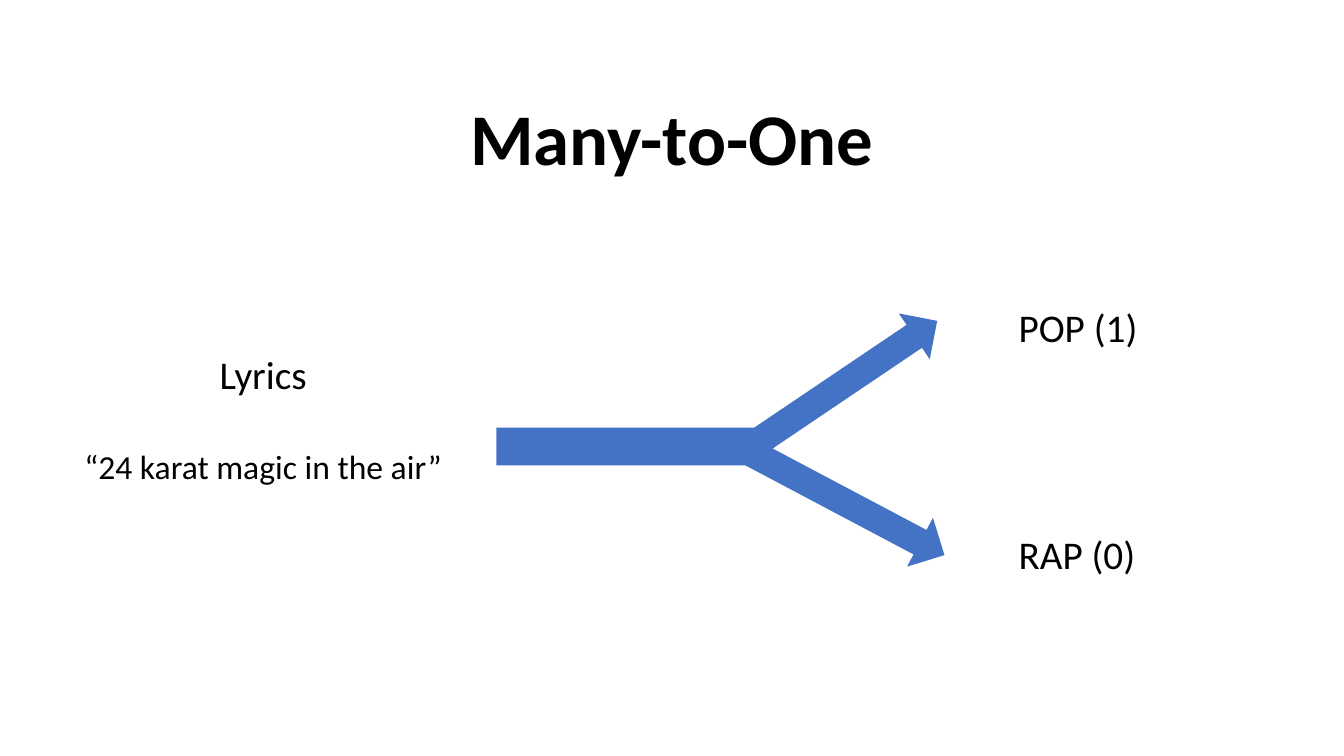
import dataclasses

import pptx
import pptx.dml.color
import pptx.enum.shapes
import pptx.enum.text
import pptx.util

Pt = pptx.util.Pt
SHAPES = pptx.enum.shapes.MSO_SHAPE
ALIGN = pptx.enum.text.PP_ALIGN
ANCHOR = pptx.enum.text.MSO_ANCHOR


@dataclasses.dataclass(frozen=True)
class Theme:
    font: str = "Calibri"
    ink: str = "000000"
    flow: str = "4472C4"
    title_size: int = 52
    label_size: int = 28
    quote_size: int = 24


class SlideBuilder:
    def __init__(self, slide, theme):
        self.slide = slide
        self.theme = theme

    def text(self, box, lines, anchor=ANCHOR.TOP, bold=False, **paragraph_format):
        """Each line is a (wording, size, space before) triple."""
        frame = self.slide.shapes.add_textbox(*map(Pt, box)).text_frame
        frame.word_wrap = True
        frame.vertical_anchor = anchor
        for index, (wording, size, gap) in enumerate(lines):
            paragraph = frame.add_paragraph() if index else frame.paragraphs[0]
            run = paragraph.add_run()
            run.text = wording
            run.font.color.rgb = pptx.dml.color.RGBColor.from_string(self.theme.ink)
            for name, value in {"name": self.theme.font, "size": Pt(size), "bold": bold}.items():
                setattr(run.font, name, value)
            for name, value in {"space_before": Pt(gap), **paragraph_format}.items():
                setattr(paragraph, name, value)

    def flow(self, kind, box, rotation=0):
        part = self.slide.shapes.add_shape(kind, *map(Pt, box))
        part.rotation = rotation
        part.shadow.inherit = False
        part.fill.solid()
        part.fill.fore_color.rgb = pptx.dml.color.RGBColor.from_string(self.theme.flow)
        part.line.fill.background()


def main():
    deck = pptx.Presentation()
    deck.slide_width, deck.slide_height = Pt(960), Pt(540)
    theme = Theme()
    builder = SlideBuilder(deck.slides.add_slide(deck.slide_layouts[6]), theme)

    # Title
    builder.text((120, 62, 720, 71), [("Many-to-One", theme.title_size, 0)],
                 anchor=ANCHOR.BOTTOM, bold=True, alignment=ALIGN.CENTER, line_spacing=0.9)

    # Output classes
    for genre, top in (("POP (1)", 213), ("RAP (0)", 375)):
        builder.text((720.5, top, 110, 41), [(genre, theme.label_size, 0)])

    # Input lyrics
    builder.text((26, 247, 324, 104),
                 [("Lyrics", theme.label_size, 0),
                  ("“24 karat magic in the air”", theme.quote_size, 34)],
                 alignment=ALIGN.CENTER)

    # Two branches, then the stem that covers their tails
    builder.flow(SHAPES.RIGHT_ARROW, (522.5, 339, 161.5, 39.5), 27.9)
    builder.flow(SHAPES.RIGHT_ARROW, (514, 257, 170, 39.5), 326)
    builder.flow(SHAPES.RECTANGLE, (354.5, 305.5, 184, 27))

    deck.save("out.pptx")


if __name__ == "__main__":
    main()
